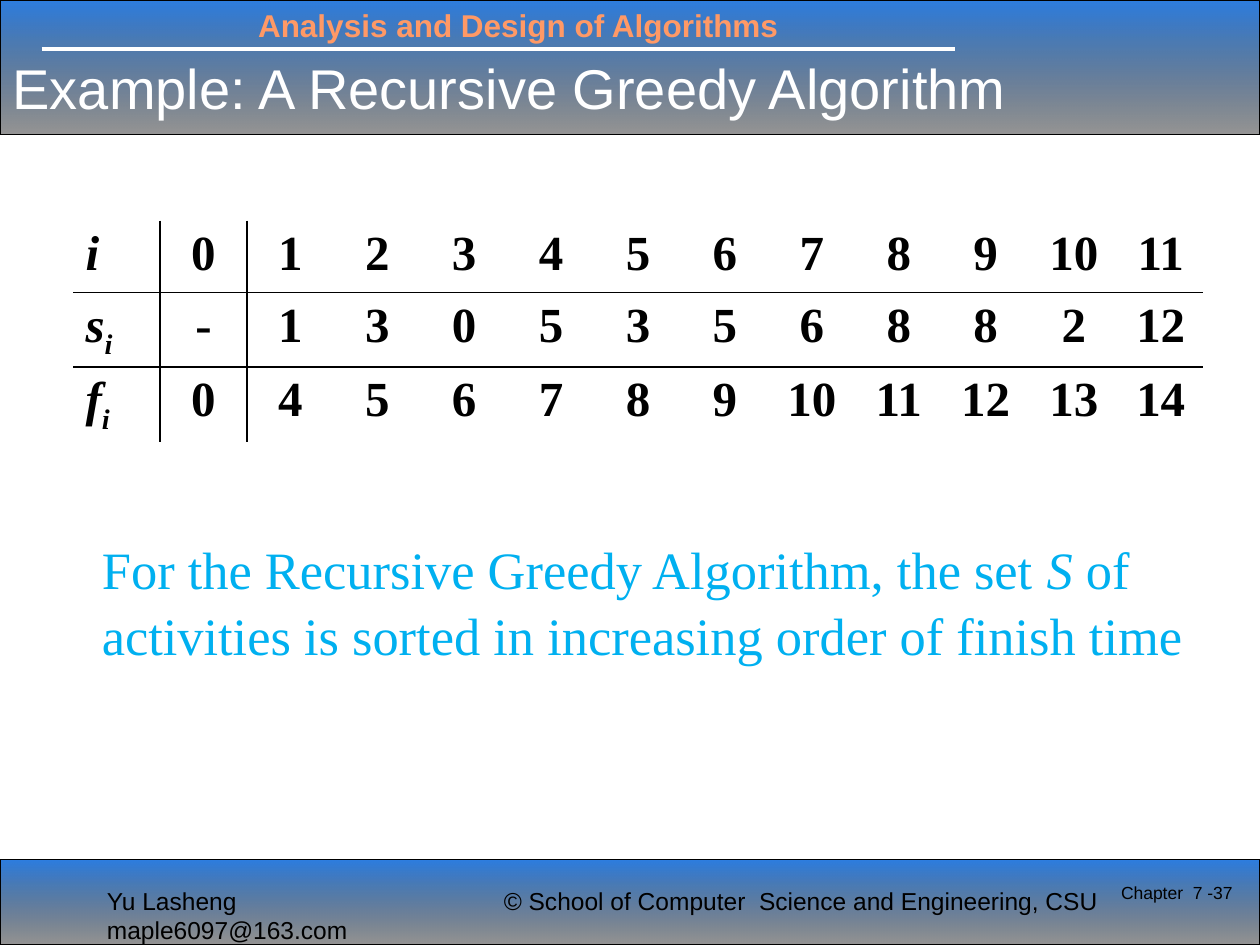
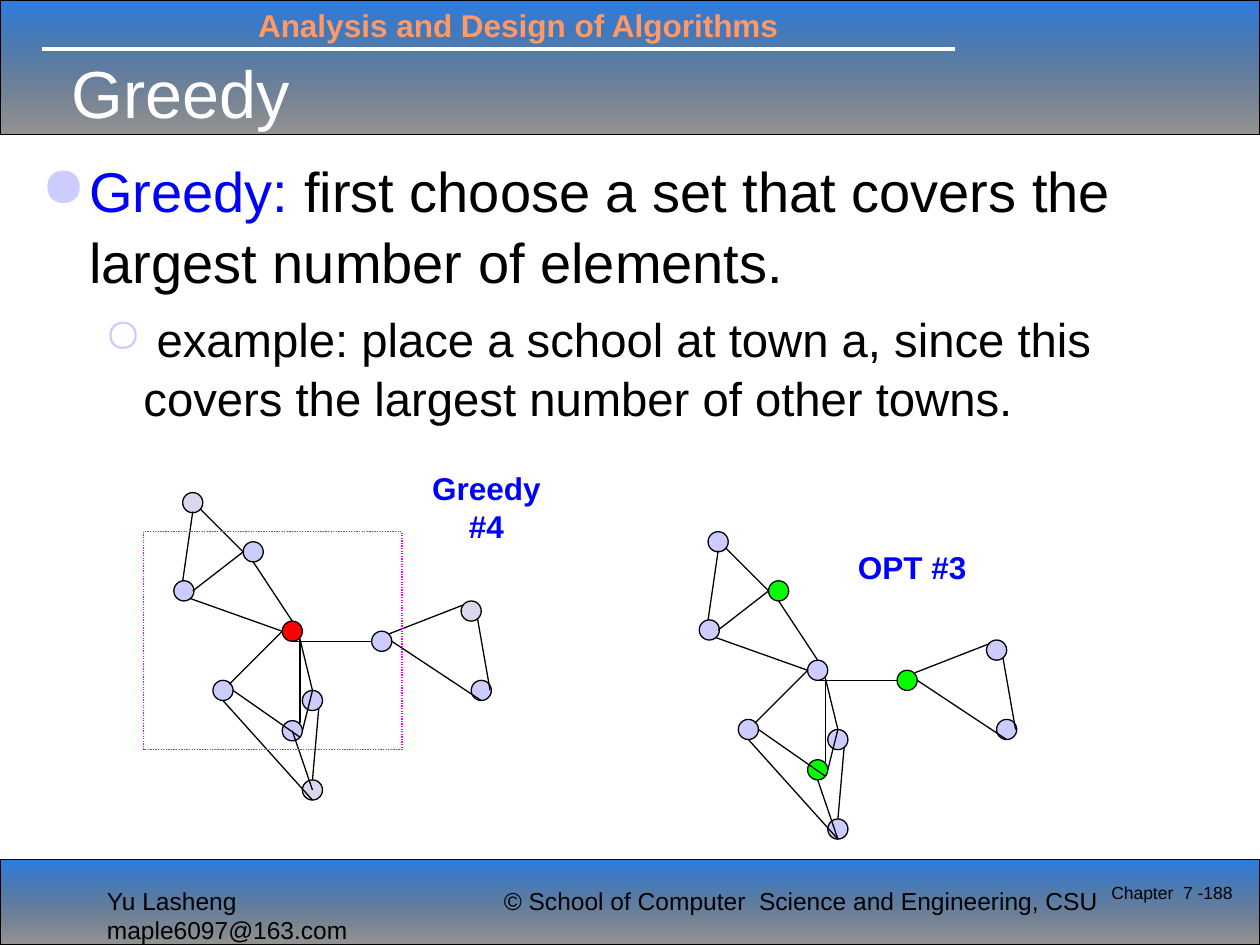
from lxml import etree
from pptx import Presentation
from pptx.dml.color import RGBColor
from pptx.enum.dml import MSO_LINE
from pptx.enum.shapes import MSO_CONNECTOR, MSO_SHAPE
from pptx.enum.text import MSO_ANCHOR, MSO_AUTO_SIZE, PP_ALIGN
from pptx.oxml.ns import qn
from pptx.util import Inches, Pt

LEFT, CENTER, RIGHT = PP_ALIGN.LEFT, PP_ALIGN.CENTER, PP_ALIGN.RIGHT
TOP, MIDDLE = MSO_ANCHOR.TOP, MSO_ANCHOR.MIDDLE
STRAIGHT, DOTTED = MSO_CONNECTOR.STRAIGHT, MSO_LINE.ROUND_DOT
RECTANGLE, OVAL = MSO_SHAPE.RECTANGLE, MSO_SHAPE.OVAL

COLORS = {
    "band_top": "0E6BDC", "black": "000000", "white": "FFFFFF",
    "course": "FF9966", "note": "00B0F0", "label": "0000FF",
    "node": "CCCCFF", "uncovered": "D9D8EC", "chosen": "FF0000",
    "optimal": "00FF00", "cover": "FF00FF",
}
SANS, SERIF = "Arial", "Times New Roman"
PLAIN_TABLE_STYLE = "{2D5ABB26-0587-4C30-8999-92F81FD0307C}"

# Shared frame: boxes are left, top, width, height
BANDS = [(0, 0, 10, 1.07), (0, 6.82, 10, 0.68)]
BAND_STOPS = [("band_top", 88), ("black", 41)]
TITLE_RULE = (0.33, 0.39, 7.58, 0.39)
FRAME_TEXTS = [
    ((1.95, 0, 5, 0.4), "Analysis and Design of Algorithms",
     {"size": 18, "color": "course", "bold": True}, True),
    ((0.75, 6.98, 3.21, 0.34), "Yu Lasheng  maple6097@163.com", {"size": 14}, False),
    ((3.9, 6.98, 5.12, 0.34), "© School of Computer  Science and Engineering, CSU",
     {"size": 14}, False),
]
PAGE_BOX = (8.62, 6.95, 1.26, 0.5)

# Activity table: symbol, subscript, values
ACTIVITIES = [
    ("i", "", list(range(12))),
    ("s", "i", ["-", 1, 3, 0, 5, 3, 5, 6, 8, 8, 2, 12]),
    ("f", "i", [0, 4, 5, 6, 7, 8, 9, 10, 11, 12, 13, 14]),
]
TABLE_BOX = (0.58, 1.75, 8.94, 1.72)
COLUMN_WIDTHS = [0.69] * 11 + [0.71, 0.67]
ROW_HEIGHTS = [0.57, 0.58, 0.57]
NOTE = [
    ("For the Recursive Greedy Algorithm, the set ", {}),
    ("S", {"italic": True}),
    (" of activities is sorted in increasing order of finish time", {}),
]

# Greedy slide: runs, size, left margin, hanging indent, bullet, space before
BULLETS = [
    ([("Greedy:", {"color": "label"}),
      (" first choose a set that covers the largest number of elements.", {})],
     32, 0.38, 0.38, "●", 0),
    ([(" example: place a school at town a, since this covers the largest"
       " number of other towns.", {})],
     27, 0.81, 0.31, "○", 7),
]

# Town graph: left and top of each town, then the roads
TOWN_SIZE = 0.16
TOWNS = [
    (1.45, 3.91), (1.38, 4.61), (1.93, 4.3), (2.24, 4.93), (2.95, 5.01), (3.66, 4.77),
    (1.69, 5.4), (2.4, 5.48), (2.24, 5.72), (2.4, 6.19), (3.74, 5.4),
]
ROADS = [
    (1.59, 4.04, 1.93, 4.38), (1.53, 4.06, 1.45, 4.61), (1.53, 4.69, 1.93, 4.38),
    (1.51, 4.75, 2.24, 5.01), (2.01, 4.46, 2.32, 4.93), (1.82, 5.43, 2.24, 5.01),
    (2.38, 5.07, 2.38, 5.74), (2.38, 5.07, 2.48, 5.48), (2.48, 5.48, 2.4, 5.8),
    (1.85, 5.48, 2.38, 5.85), (2.53, 5.62, 2.48, 6.19), (1.77, 5.56, 2.48, 6.35),
    (2.32, 5.09, 2.95, 5.09), (3.09, 5.03, 3.68, 4.8), (3.11, 5.09, 3.82, 5.56),
    (3.89, 5.48, 3.79, 4.91),
]
GRAPHS = [
    {"shift": (0, 0), "last_road": (2.32, 5.8, 2.48, 6.27),
     "marked": {0: "uncovered", 5: "uncovered", 9: "uncovered", 3: "chosen"},
     "label": "Greedy #4", "label_box": (3.27, 3.75, 1.18, 0.55)},
    {"shift": (4.17, 0.31), "last_road": (2.32, 5.88, 2.48, 6.35),
     "marked": {2: "optimal", 4: "optimal", 8: "optimal"},
     "label": "OPT #3", "label_box": (6.65, 4.22, 1.18, 0.55)},
]
COVER_BOX = (1.14, 4.22, 2.05, 1.73)


def rgb(name):
    return RGBColor.from_string(COLORS[name])


def inches(values):
    return [Inches(value) for value in values]


def set_font(font, **overrides):
    values = {"name": SANS, "size": 18, "color": "black", "bold": False,
              "italic": False, **overrides}
    font.color.rgb = rgb(values.pop("color"))
    values["size"] = Pt(values["size"])
    for attribute, value in values.items():
        setattr(font, attribute, value)


def add_runs(paragraph, runs, **base):
    for text, changes in runs:
        run = paragraph.add_run()
        run.text = text
        set_font(run.font, **{**base, **changes})


def add_text_box(slide, box, wrap=True, anchor=TOP):
    frame = slide.shapes.add_textbox(*inches(box)).text_frame
    frame.word_wrap = wrap
    frame.vertical_anchor = anchor
    return frame


def add_label(slide, box, text, style, wrap=True, align=LEFT, anchor=TOP):
    paragraph = add_text_box(slide, box, wrap, anchor).paragraphs[0]
    paragraph.alignment = align
    add_runs(paragraph, [(text, style)])


def add_shape(slide, kind, box, fill=None, line="black"):
    shape = slide.shapes.add_shape(kind, *inches(box))
    shape.shadow.inherit = False
    shape.line.color.rgb = rgb(line)
    shape.line.width = Pt(0.75)
    if fill:
        shape.fill.solid()
        shape.fill.fore_color.rgb = rgb(fill)
    else:
        shape.fill.background()
    return shape


def add_line(slide, ends, color="black", width=0.75):
    line = slide.shapes.add_connector(STRAIGHT, *inches(ends))
    line.line.color.rgb = rgb(color)
    line.line.width = Pt(width)
    etree.SubElement(line._element.spPr, qn("a:effectLst"))


def set_margins(paragraph, left, hanging=0, bullet=None):
    properties = paragraph._p.get_or_add_pPr()
    properties.set("marL", str(Inches(left)))
    properties.set("indent", str(-Inches(hanging)))
    if bullet:
        color = etree.SubElement(properties, qn("a:buClr"))
        etree.SubElement(color, qn("a:srgbClr"), val=COLORS["node"])
        etree.SubElement(properties, qn("a:buChar"), char=bullet)


def add_band(slide, box):
    band = add_shape(slide, RECTANGLE, box)
    band.fill.gradient()
    band.fill.gradient_angle = 270
    stops = band.fill.gradient_stops
    for position, (stop, (color, opacity)) in enumerate(zip(stops, BAND_STOPS)):
        stop.position = position
        stop.color.rgb = rgb(color)
    colors = band._element.spPr.findall(".//" + qn("a:gs") + "/" + qn("a:srgbClr"))
    for element, (color, opacity) in zip(colors, BAND_STOPS):
        etree.SubElement(element, qn("a:alpha"), val=str(opacity * 1000))


def add_slide(presentation, title_text, title_box, title_size, page):
    """Add a slide with the shared bands, course name, footers and title."""
    slide = presentation.slides.add_slide(presentation.slide_layouts[5])
    for box in BANDS:
        add_band(slide, box)
    add_line(slide, TITLE_RULE, "white", 2.25)
    for box, text, style, wrap in FRAME_TEXTS:
        add_label(slide, box, text, style, wrap)
    add_label(slide, PAGE_BOX, f"Chapter  7 -{page}", {"size": 10}, align=RIGHT)

    # The title goes in front of its band
    title = slide.shapes.title
    title._element.getparent().append(title._element)
    title.left, title.top, title.width, title.height = inches(title_box)
    frame = title.text_frame
    frame.auto_size = MSO_AUTO_SIZE.NONE
    frame.vertical_anchor = MIDDLE
    frame.paragraphs[0].alignment = LEFT
    add_runs(frame.paragraphs[0], [(title_text, {})], size=title_size, color="white")
    return slide


def add_border(cell, side):
    line = etree.Element(qn("a:" + side), w=str(Pt(1)))
    fill = etree.SubElement(line, qn("a:solidFill"))
    etree.SubElement(fill, qn("a:srgbClr"), val=COLORS["black"])
    return line


def add_activity_table(slide):
    graphic = slide.shapes.add_table(len(ROW_HEIGHTS), len(COLUMN_WIDTHS), *inches(TABLE_BOX))
    table = graphic.table
    table.first_row = table.horz_banding = False
    table._tbl.tblPr.find(qn("a:tableStyleId")).text = PLAIN_TABLE_STYLE
    for column, width in zip(table.columns, COLUMN_WIDTHS):
        column.width = Inches(width)
    for row, height in zip(table.rows, ROW_HEIGHTS):
        row.height = Inches(height)

    style = {"name": SERIF, "size": 28, "bold": True}
    for row, (symbol, subscript, values) in enumerate(ACTIVITIES):
        for column, value in enumerate([symbol] + values):
            cell = table.cell(row, column)
            cell.fill.background()
            paragraph = cell.text_frame.paragraphs[0]
            paragraph.alignment = CENTER if column else LEFT
            add_runs(paragraph, [(str(value), {"italic": column == 0})], **style)
            if column == 0 and subscript:
                add_runs(paragraph, [(subscript, {"italic": True})], **style)
                paragraph.runs[-1].font._element.set("baseline", "-25000")
            # Rules below the header row and right of the symbols
            sides = [("lnL", column == 1), ("lnR", column == 0),
                     ("lnT", row == 1), ("lnB", row == 0)]
            borders = [add_border(cell, side) for side, drawn in sides if drawn]
            properties = cell._tc.get_or_add_tcPr()
            for index, border in enumerate(borders):
                properties.insert(index, border)


def add_graph(slide, graph):
    across, down = graph["shift"]
    for index, (left, top) in enumerate(TOWNS):
        box = (left + across, top + down, TOWN_SIZE, TOWN_SIZE)
        add_shape(slide, OVAL, box, graph["marked"].get(index, "node"))
    for x1, y1, x2, y2 in ROADS + [graph["last_road"]]:
        add_line(slide, (x1 + across, y1 + down, x2 + across, y2 + down))
    add_label(slide, graph["label_box"], graph["label"], {"color": "label", "bold": True},
              wrap=False, align=CENTER, anchor=MIDDLE)


def build_example(presentation):
    slide = add_slide(presentation, "Example: A Recursive Greedy Algorithm",
                      (0, 0.36, 9.83, 0.67), 32, 37)
    add_activity_table(slide)
    paragraph = add_text_box(slide, (0.33, 4.19, 9.42, 2.31)).paragraphs[0]
    set_margins(paragraph, 0.38)
    paragraph.line_spacing = 1.05
    add_runs(paragraph, NOTE, name=SERIF, size=30, color="note")


def build_greedy(presentation):
    slide = add_slide(presentation, "Greedy", (0.47, 0.39, 7.81, 0.68), 38, 188)
    frame = add_text_box(slide, (0.23, 1.17, 9.45, 5.53))
    for index, (runs, size, left, hanging, bullet, space) in enumerate(BULLETS):
        paragraph = frame.add_paragraph() if index else frame.paragraphs[0]
        paragraph.level = index
        set_margins(paragraph, left, hanging, bullet)
        paragraph.line_spacing = 1.05
        paragraph.space_before = Pt(space)
        add_runs(paragraph, runs, size=size)
    for graph in GRAPHS:
        add_graph(slide, graph)
    cover = add_shape(slide, RECTANGLE, COVER_BOX, line="cover")
    cover.line.dash_style = DOTTED


def main():
    presentation = Presentation()
    presentation.slide_width, presentation.slide_height = Inches(10), Inches(7.5)
    build_example(presentation)
    build_greedy(presentation)
    presentation.save("out.pptx")


if __name__ == "__main__":
    main()
